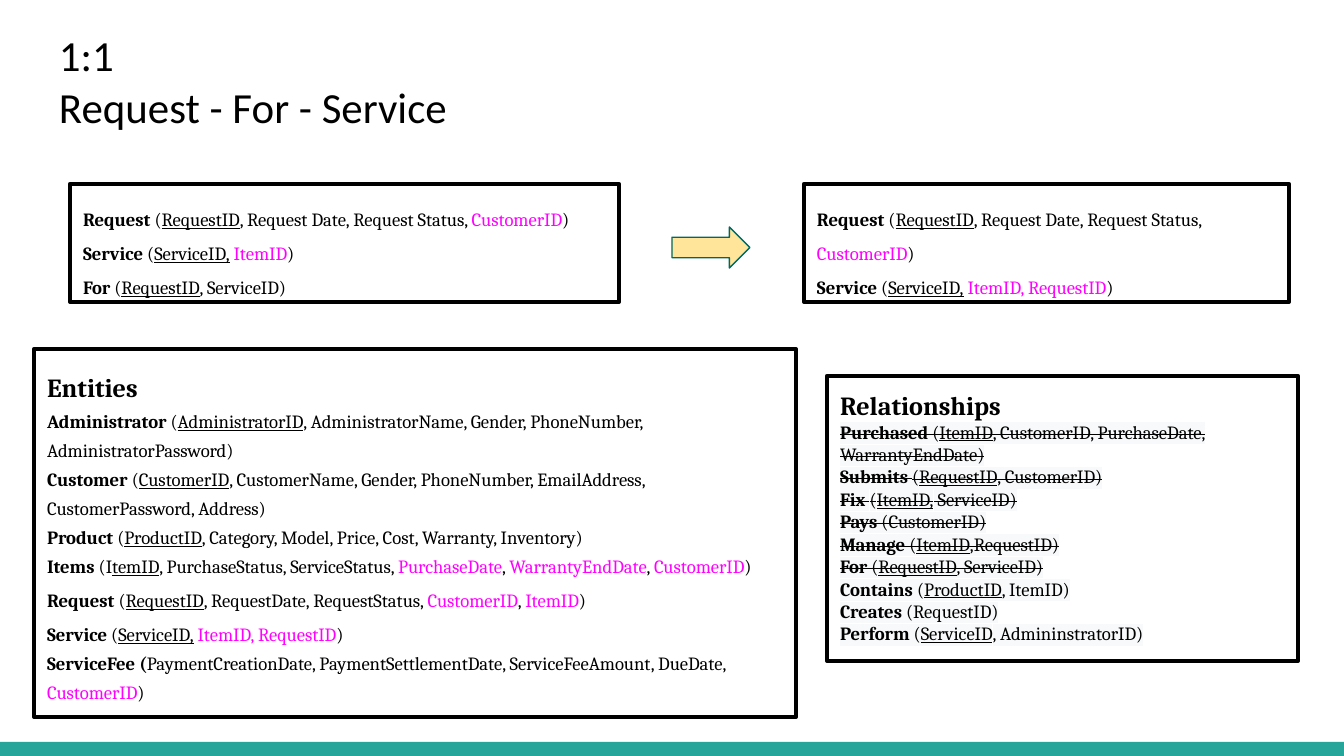
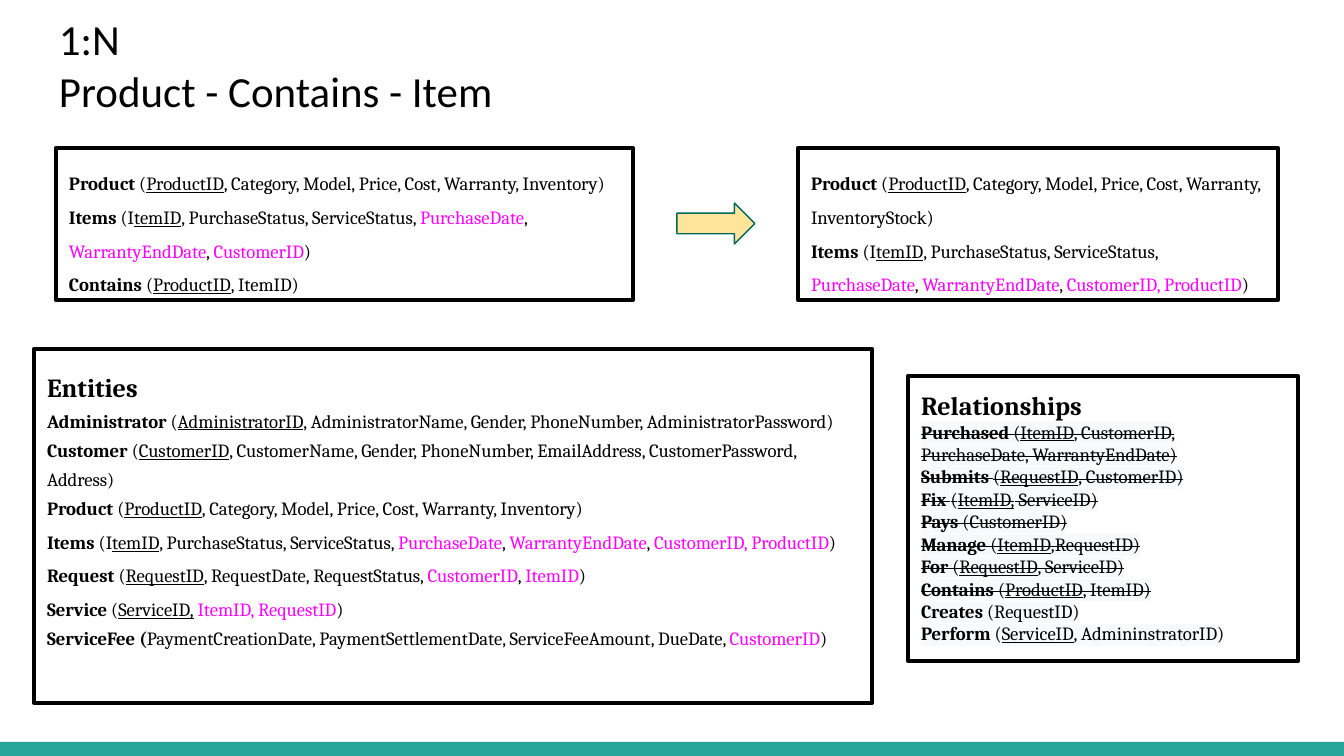
from pptx import Presentation
from pptx.dml.color import RGBColor
from pptx.enum.shapes import MSO_SHAPE
from pptx.enum.text import MSO_ANCHOR, PP_ALIGN
from pptx.oxml import parse_xml
from pptx.oxml.ns import nsdecls, qn
from pptx.util import Pt

EMU_PER_PX = 914400 / 134.4
BLACK, PINK, TEAL = "000000", "FF00FF", "26A69A"
ARROW_FILL, ARROW_LINE, HIGHLIGHT = "FFE599", "00695C", "F8F9FA"

# A segment starting with * is bold, _ underlined, ^ pink; | divides segments.
STYLES = {
    "*": {"bold": True},
    "_": {"underline": True},
    "^": {"color": PINK},
}

REQUEST = "*Request |(|_RequestID|, Request Date, Request Status, |^CustomerID|)"
SERVICE = "*Service |(|_ServiceID,| |^ItemID, RequestID|)"
PRODUCT = "*Product |(|_ProductID|, Category, Model, Price, Cost, Warranty, Inventory)"
ITEMS = ("*Items |(I|_temID|, PurchaseStatus, ServiceStatus, |^PurchaseDate|, |"
         "^WarrantyEndDate|, |^CustomerID|)")
ITEMS_WITH_PRODUCT = ITEMS.replace("^CustomerID", "^CustomerID, ProductID")
FOR = "*For |(|_RequestID|, ServiceID)"
CONTAINS = "*Contains |(|_ProductID|, ItemID)"

RELATIONSHIPS = [
    "*Purchased |(|_ItemID|, CustomerID, PurchaseDate, WarrantyEndDate)",
    "*Submits |(|_RequestID|, CustomerID)",
    "*Fix |(|_ItemID,| ServiceID)",
    "*Pays |(CustomerID)",
    "*Manage |(|_ItemID|,RequestID)",
    FOR,
    CONTAINS,
    "*Creates |(RequestID)",
    "*Perform |(|_ServiceID|, AdmininstratorID)",
]

SLIDES = [
    {
        "title": ["1:1", "Request - For - Service"],
        "title_top": 16,
        "before": [REQUEST, "*Service |(|_ServiceID,| |^ItemID|)", FOR],
        "before_box": (70, 184, 549, 118),
        "arrow_box": (672, 227, 78, 41),
        "after": [REQUEST, SERVICE],
        "after_box": (804, 184, 485, 118),
        "items": (ITEMS, 1.3),
        "entities_box": (34, 349, 762, 368),
        "relationships_box": (827, 376, 471, 285),
        "struck": 6,
    },
    {
        "title": ["1:N", "Product - Contains - Item"],
        "title_top": 0,
        "before": [PRODUCT, ITEMS, CONTAINS],
        "before_box": (56, 148, 577, 152),
        "arrow_box": (677, 203, 78, 41),
        "after": [PRODUCT.replace("Inventory", "InventoryStock"), ITEMS_WITH_PRODUCT],
        "after_box": (798, 148, 480, 152),
        "items": (ITEMS_WITH_PRODUCT, 1.5),
        "entities_box": (34, 349, 838, 354),
        "relationships_box": (908, 376, 390, 285),
        "struck": 7,
    },
]


def add_shape(slide, kind, bounds, fill=None, line=None, line_width=2.25):
    shape = slide.shapes.add_shape(kind, *(round(px * EMU_PER_PX) for px in bounds))
    shape.shadow.inherit = False
    if fill:
        shape.fill.solid()
        shape.fill.fore_color.rgb = RGBColor.from_string(fill)
    else:
        shape.fill.background()
    if line:
        shape.line.color.rgb = RGBColor.from_string(line)
        shape.line.width = Pt(line_width)
    else:
        shape.line.fill.background()
    return shape


def write_rows(shape, rows):
    frame = shape.text_frame
    inset = round(13 * EMU_PER_PX)
    frame_format = {"word_wrap": True, "vertical_anchor": MSO_ANCHOR.TOP,
                    "margin_left": inset, "margin_top": inset,
                    "margin_right": inset, "margin_bottom": inset}
    for name, value in frame_format.items():
        setattr(frame, name, value)
    for index, row in enumerate(rows):
        paragraph = frame.add_paragraph() if index else frame.paragraphs[0]
        paragraph.alignment = PP_ALIGN.LEFT
        paragraph.line_spacing = row.get("spacing", 1.0)
        for segment in row["text"].split("|"):
            style = dict(STYLES.get(segment[0], {}))
            run = paragraph.add_run()
            run.text = segment[1:] if style else segment
            run.font.color.rgb = RGBColor.from_string(style.pop("color", BLACK))
            properties = run.font._element
            if row.get("highlight"):
                properties.find(qn("a:solidFill")).addnext(parse_xml(
                    f'<a:highlight {nsdecls("a")}><a:srgbClr val="{HIGHLIGHT}"/></a:highlight>'))
            if row.get("struck"):
                properties.set("strike", "sngStrike")
            font_format = {"name": row.get("font", "Cambria"),
                           "size": Pt(row.get("size", 10)), **style}
            for name, value in font_format.items():
                setattr(run.font, name, value)


presentation = Presentation()
presentation.slide_width = round(1344 * EMU_PER_PX)
presentation.slide_height = round(756 * EMU_PER_PX)

for content in SLIDES:
    slide = presentation.slides.add_slide(presentation.slide_layouts[6])
    add_shape(slide, MSO_SHAPE.RECTANGLE, (0, 742, 1344, 14), fill=TEAL)

    title_bounds = (46, content["title_top"], 1252, 132)
    title = slide.shapes.add_textbox(*(round(px * EMU_PER_PX) for px in title_bounds))
    write_rows(title, [{"text": text, "size": 23, "font": "Calibri"}
                       for text in content["title"]])

    entities = [{"text": "*Entities", "size": 14, "spacing": 1.3}]
    for text, spacing in [
        ("*Administrator |(|_AdministratorID|, AdministratorName, Gender, PhoneNumber, "
         "AdministratorPassword)", 1.3),
        ("*Customer |(|_CustomerID|, CustomerName, Gender, PhoneNumber, EmailAddress, "
         "CustomerPassword, Address)", 1.3),
        (PRODUCT, 1.3),
        content["items"],
        ("*Request |(|_RequestID|, RequestDate, RequestStatus, |^CustomerID|, |^ItemID|)", 1.5),
        (SERVICE, 1.5),
        ("*ServiceFee (|PaymentCreationDate, PaymentSettlementDate, ServiceFeeAmount, "
         "DueDate, |^CustomerID|)", 1.3),
    ]:
        entities.append({"text": text, "spacing": spacing})

    relationships = [{"text": "*Relationships", "size": 14}]
    for index, text in enumerate(RELATIONSHIPS):
        relationships.append({"text": text, "highlight": True,
                              "struck": index < content["struck"]})

    for bounds, rows in [
        (content["before_box"], [{"text": text, "spacing": 1.5} for text in content["before"]]),
        (content["after_box"], [{"text": text, "spacing": 1.5} for text in content["after"]]),
        (content["entities_box"], entities),
        (content["relationships_box"], relationships),
    ]:
        box = add_shape(slide, MSO_SHAPE.RECTANGLE, bounds, line=BLACK)
        write_rows(box, rows)

    add_shape(slide, MSO_SHAPE.RIGHT_ARROW, content["arrow_box"],
              fill=ARROW_FILL, line=ARROW_LINE, line_width=0.75)

presentation.save("out.pptx")
